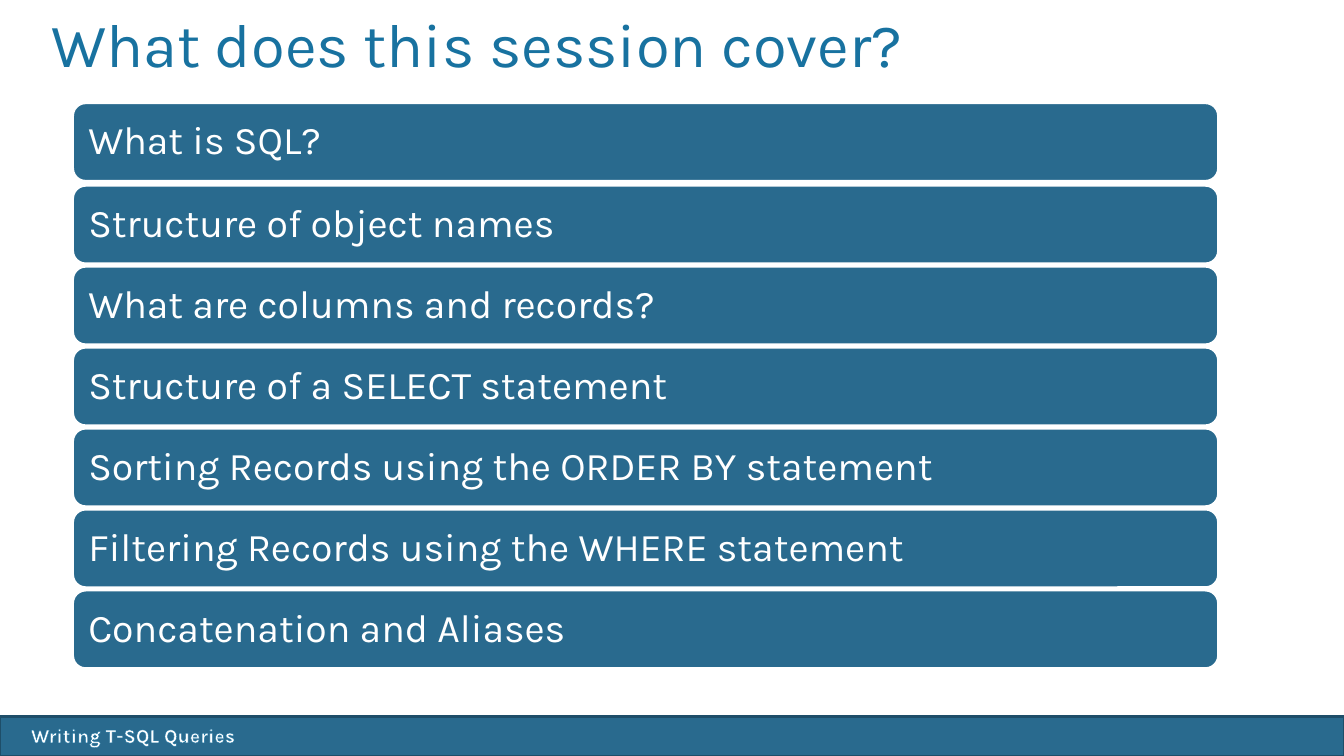
from lxml.etree import SubElement
from pptx import Presentation
from pptx.dml.color import RGBColor
from pptx.enum.shapes import MSO_SHAPE
from pptx.enum.text import MSO_ANCHOR, PP_ALIGN
from pptx.oxml.ns import qn
from pptx.util import Cm, Pt

FONT = "Karla"
BLUE, DARK_BLUE, TITLE_BLUE, WHITE = "296A8E", "1E4E69", "1872A0", "FFFFFF"
TOPICS = [
    "What is SQL?",
    "Structure of object names",
    "What are columns and records?",
    "Structure of a SELECT statement",
    "Sorting Records using the ORDER BY statement",
    "Filtering Records using the WHERE statement",
    "Concatenation and Aliases",
]


def color(hex_string):
    return RGBColor.from_string(hex_string)


def add_box(slide, preset, left, top, width, height, line_color):
    shape = slide.shapes.add_shape(preset, Cm(left), Cm(top), Cm(width), Cm(height))
    shape.shadow.inherit = False
    shape.fill.solid()
    shape.fill.fore_color.rgb = color(BLUE)
    shape.line.color.rgb = color(line_color)
    shape.line.width = Pt(2)
    return shape


def write(shape, text, size, font_color):
    shape.text_frame.word_wrap = True
    paragraph = shape.text_frame.paragraphs[0]
    paragraph.text = text
    paragraph.alignment = PP_ALIGN.LEFT
    paragraph.font.name = FONT
    paragraph.font.size = Pt(size)
    paragraph.font.color.rgb = color(font_color)
    return paragraph


def outline_text(run, hex_string, width):
    line = SubElement(run.font._element, qn("a:ln"), w=str(Pt(width)))
    fill = SubElement(line, qn("a:solidFill"))
    SubElement(fill, qn("a:srgbClr"), val=hex_string)


def add_footer(slide, left, top, width, height):
    add_box(slide, MSO_SHAPE.RECTANGLE, left, top, width, height, DARK_BLUE)
    label = slide.shapes.add_textbox(Cm(left + 0.53), Cm(top + 0.05), Cm(15.4), Cm(0.86))
    paragraph = write(label, "Writing T-SQL Queries", 14, WHITE)
    paragraph.font.bold = True
    outline_text(paragraph.runs[0], TITLE_BLUE, 0.8)


def add_title(slide, left, top, width, height):
    title = slide.shapes.add_textbox(Cm(left), Cm(top), Cm(width), Cm(height))
    paragraph = write(title, "What does this session cover?", 44, TITLE_BLUE)
    paragraph.line_spacing = Pt(35)


def add_topics(slide, left, top, width, height):
    bar_height, first_gap = 1.98, 0.04
    pitch = (height - bar_height - first_gap) / (len(TOPICS) - 1)
    for index, topic in enumerate(TOPICS):
        # The first gap is slightly wider than the rest
        bar_top = top + index * pitch + (first_gap if index else 0)
        bar = add_box(slide, MSO_SHAPE.ROUNDED_RECTANGLE,
                      left, bar_top, width, bar_height, WHITE)
        frame = bar.text_frame
        frame.vertical_anchor = MSO_ANCHOR.MIDDLE
        frame.margin_left = frame.margin_right = Cm(0.3)
        frame.margin_top = frame.margin_bottom = Cm(0.3)
        write(bar, topic, 28, WHITE).line_spacing = 0.9


def main():
    presentation = Presentation()
    presentation.slide_width = Cm(33.87)
    presentation.slide_height = Cm(19.05)
    slide = presentation.slides.add_slide(presentation.slide_layouts[6])

    # Footer band, heading and list of topics
    add_footer(slide, 0, 18.05, 33.87, 1.02)
    add_title(slide, 1.04, 0.66, 30.48, 3.18)
    add_topics(slide, 1.83, 2.59, 28.88, 14.26)

    presentation.save("out.pptx")


if __name__ == "__main__":
    main()
